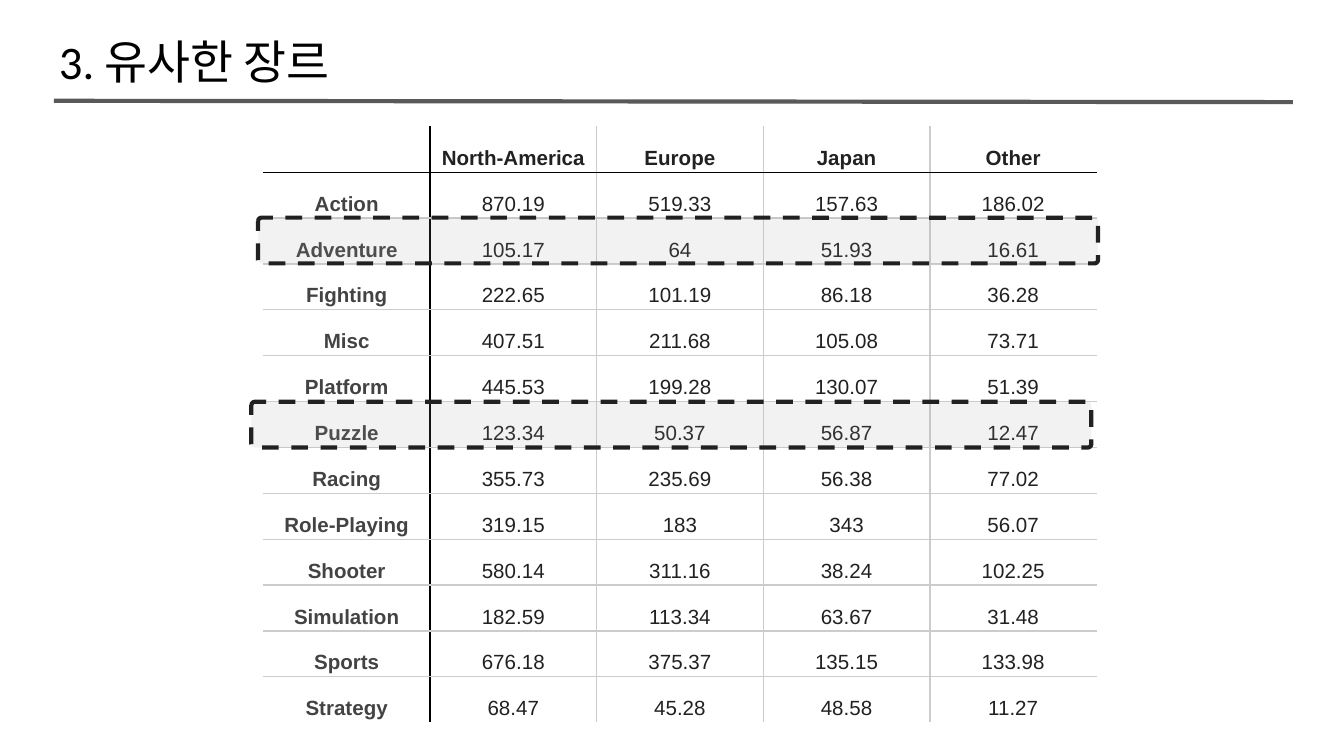
from lxml.etree import SubElement
from pptx import Presentation
from pptx.dml.color import RGBColor
from pptx.enum.dml import MSO_LINE
from pptx.enum.shapes import MSO_CONNECTOR, MSO_SHAPE
from pptx.enum.text import MSO_ANCHOR, PP_ALIGN
from pptx.oxml.ns import qn
from pptx.util import Inches, Pt

COLORS = {
    "white": "FFFFFF",
    "black": "000000",
    "rule": "595959",
    "grid": "CCCCCC",
    "ink": "212121",
    "genre": "434343",
    "highlight": "9E9E9E",
}

SALES = [
    ["", "North-America", "Europe", "Japan", "Other"],
    ["Action", "870.19", "519.33", "157.63", "186.02"],
    ["Adventure", "105.17", "64", "51.93", "16.61"],
    ["Fighting", "222.65", "101.19", "86.18", "36.28"],
    ["Misc", "407.51", "211.68", "105.08", "73.71"],
    ["Platform", "445.53", "199.28", "130.07", "51.39"],
    ["Puzzle", "123.34", "50.37", "56.87", "12.47"],
    ["Racing", "355.73", "235.69", "56.38", "77.02"],
    ["Role-Playing", "319.15", "183", "343", "56.07"],
    ["Shooter", "580.14", "311.16", "38.24", "102.25"],
    ["Simulation", "182.59", "113.34", "63.67", "31.48"],
    ["Sports", "676.18", "375.37", "135.15", "133.98"],
    ["Strategy", "68.47", "45.28", "48.58", "11.27"],
]
TABLE_LEFT, TABLE_TOP = 1.96, 0.94
TABLE_WIDTH, TABLE_HEIGHT = 6.2, 4.44


def rgb(name):
    """Return the palette colour with this name."""
    return RGBColor.from_string(COLORS[name])


def write_text(text_frame, text, *, size, font, color, bold=False,
               align=PP_ALIGN.LEFT, line_spacing=None):
    """Write one formatted paragraph into a text frame."""
    paragraph = text_frame.paragraphs[0]
    paragraph.alignment = align
    paragraph.line_spacing = line_spacing
    run = paragraph.add_run()
    run.text = text
    run.font.size = Pt(size)
    run.font.name = font
    run.font.bold = bold
    run.font.color.rgb = rgb(color)


def add_title(slide, text):
    """Add the slide title, resting on the bottom of its box."""
    box = slide.shapes.add_textbox(Inches(0.34), Inches(0.14), Inches(9.32), Inches(0.62))
    text_frame = box.text_frame
    text_frame.word_wrap = True
    text_frame.vertical_anchor = MSO_ANCHOR.BOTTOM
    text_frame.margin_left = text_frame.margin_right = Inches(0.1)
    text_frame.margin_top = text_frame.margin_bottom = Inches(0.1)
    write_text(text_frame, text, size=25, font="Calibri", color="black")


def add_rule(slide):
    """Add the line under the title."""
    line = slide.shapes.add_connector(
        MSO_CONNECTOR.STRAIGHT, Inches(0.4), Inches(0.75), Inches(9.62), Inches(0.76))
    line.line.color.rgb = rgb("rule")
    line.line.width = Pt(2.25)
    SubElement(line._element.spPr, qn("a:effectLst"))


def set_borders(cell, **borders):
    """Draw the cell borders, given as side letter and colour name."""
    properties = cell._tc.get_or_add_tcPr()
    for side, color in borders.items():
        line = SubElement(properties, qn(f"a:ln{side}"), w=str(Pt(0.75)))
        fill = SubElement(line, qn("a:solidFill"))
        SubElement(fill, qn("a:srgbClr"), val=COLORS[color])


def edge_color(index, count):
    """Return the colour of grid line number index out of count."""
    return {0: "white", 1: "black", count: "white"}.get(index, "grid")


def format_cell(cell, text, row, column):
    """Fill one table cell with its text, borders and margins."""
    rows, columns = len(SALES), len(SALES[0])
    set_borders(cell, L=edge_color(column, columns), R=edge_color(column + 1, columns),
                T=edge_color(row, rows), B=edge_color(row + 1, rows))
    cell.fill.solid()
    cell.fill.fore_color.rgb = rgb("white")
    cell.vertical_anchor = MSO_ANCHOR.BOTTOM
    cell.margin_left = cell.margin_right = Inches(0.03)
    cell.margin_top = cell.margin_bottom = Inches(0.02)
    is_genre = row > 0 and column == 0
    write_text(cell.text_frame, text, size=11, font="Arial",
               color="genre" if is_genre else "ink", bold=row == 0 or is_genre,
               align=PP_ALIGN.CENTER, line_spacing=1.15)


def add_sales_table(slide):
    """Add the table of sales by genre and region."""
    table = slide.shapes.add_table(
        len(SALES), len(SALES[0]), Inches(TABLE_LEFT), Inches(TABLE_TOP),
        Inches(TABLE_WIDTH), Inches(TABLE_HEIGHT)).table
    table.first_row = table.horz_banding = False
    for row, values in enumerate(SALES):
        for column, text in enumerate(values):
            format_cell(table.cell(row, column), text, row, column)


def add_highlight(slide, left, top):
    """Add a translucent dashed frame around one table row."""
    frame = slide.shapes.add_shape(
        MSO_SHAPE.ROUNDED_RECTANGLE, Inches(left), Inches(top),
        Inches(6.25), Inches(0.34))
    frame.adjustments[0] = 0.075
    frame.shadow.inherit = False
    frame.fill.solid()
    frame.fill.fore_color.rgb = rgb("highlight")
    color = frame._element.spPr.find(qn("a:solidFill")).find(qn("a:srgbClr"))
    SubElement(color, qn("a:alpha"), val="13000")
    frame.line.color.rgb = rgb("ink")
    frame.line.width = Pt(2.25)
    frame.line.dash_style = MSO_LINE.DASH


def main():
    """Build the slide and save it."""
    presentation = Presentation()
    presentation.slide_width = Inches(10)
    presentation.slide_height = Inches(10) * 9 // 16
    slide = presentation.slides.add_slide(presentation.slide_layouts[6])
    add_rule(slide)
    add_title(slide, "3. 유사한 장르")
    add_sales_table(slide)
    add_highlight(slide, 1.92, 1.62)
    add_highlight(slide, 1.87, 2.99)
    presentation.save("out.pptx")


if __name__ == "__main__":
    main()
